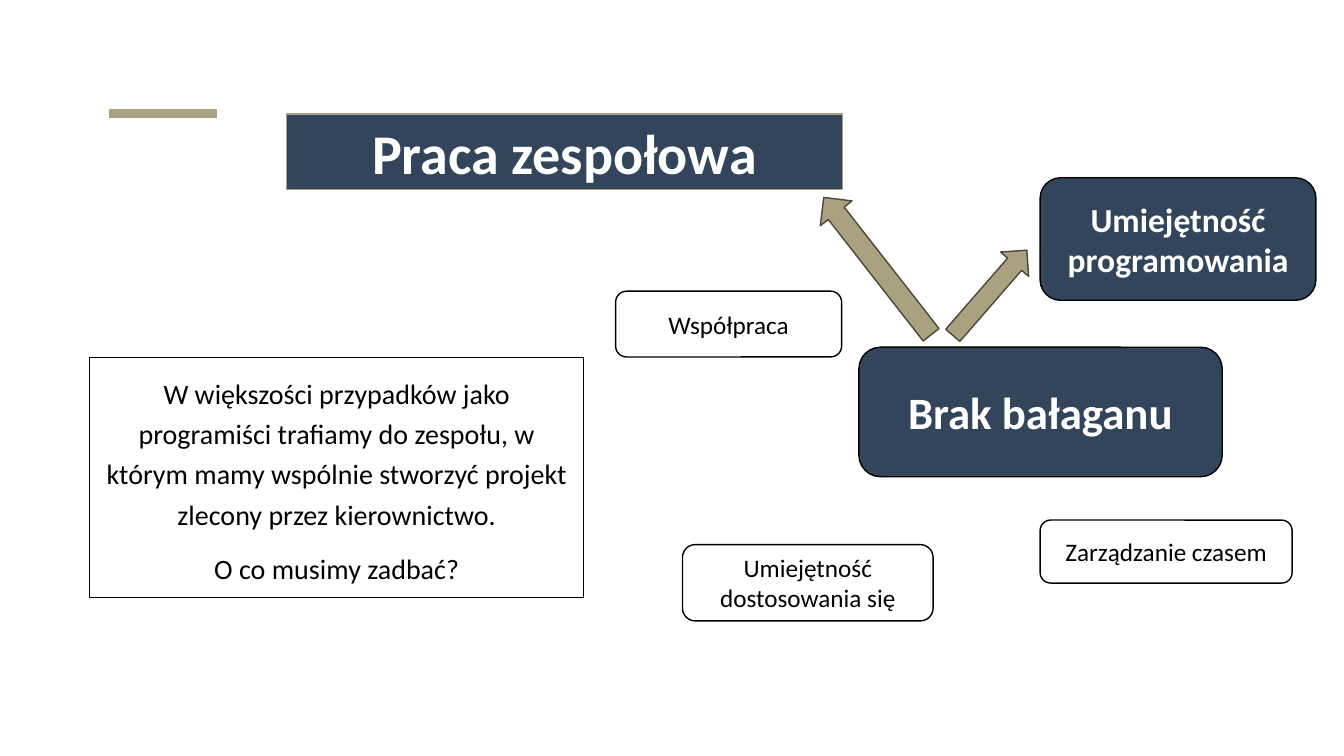
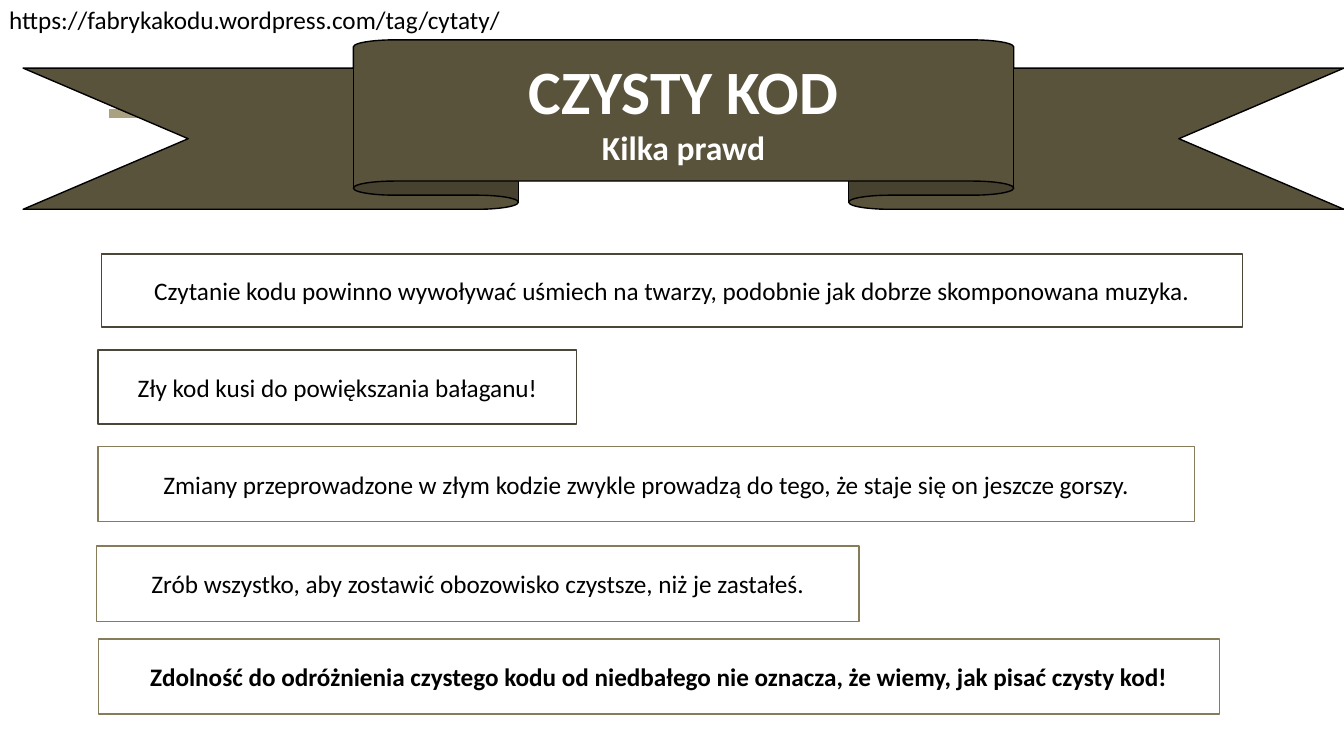
"""Build two slides on teamwork and clean code."""
from dataclasses import dataclass

from lxml import etree
from pptx import Presentation
from pptx.dml.color import RGBColor
from pptx.enum.shapes import MSO_CONNECTOR, MSO_SHAPE
from pptx.enum.text import MSO_ANCHOR, MSO_AUTO_SIZE, PP_ALIGN
from pptx.oxml.ns import qn
from pptx.shapes.autoshape import Shape
from pptx.slide import Slide
from pptx.text.text import TextFrame
from pptx.util import Pt

RECTANGLE = MSO_SHAPE.RECTANGLE
ROUNDED = MSO_SHAPE.ROUNDED_RECTANGLE
LEFT_ARROW = MSO_SHAPE.LEFT_ARROW
RIBBON = MSO_SHAPE.UP_RIBBON
STRAIGHT = MSO_CONNECTOR.STRAIGHT
MIDDLE = MSO_ANCHOR.MIDDLE
GROW = MSO_AUTO_SIZE.SHAPE_TO_FIT_TEXT
CENTER = PP_ALIGN.CENTER
LEFT = PP_ALIGN.LEFT

WHITE = RGBColor(0xFF, 0xFF, 0xFF)
BLACK = RGBColor(0x00, 0x00, 0x00)
NAVY = RGBColor(0x33, 0x45, 0x5B)
SAND = RGBColor(0xAA, 0xA1, 0x80)
OLIVE = RGBColor(0x59, 0x53, 0x3C)
DARK_OLIVE = RGBColor(0x4B, 0x47, 0x38)
LIGHT_OLIVE = RGBColor(0x86, 0x7C, 0x5A)

FONT = "Calibri"
BLANK_LAYOUT = 6


@dataclass(frozen=True)
class Box:
    """Position and size in points."""

    left: float
    top: float
    width: float
    height: float


@dataclass(frozen=True)
class Skill:
    """Rounded box naming a skill; a key skill is navy and bold."""

    text: str
    box: Box
    size: float = 18
    key: bool = False


@dataclass(frozen=True)
class Arrow:
    """Left arrow turned clockwise by an angle in degrees."""

    box: Box
    rotation: float


@dataclass(frozen=True)
class Quote:
    """Framed sentence about code."""

    text: str
    box: Box
    line: RGBColor
    bold: bool = False


SKILLS = (
    Skill("Brak bałaganu", Box(613.5, 248, 259.5, 92.5), 32, True),
    Skill("Współpraca", Box(439.7, 208, 161.5, 47)),
    Skill("Umiejętność dostosowania się", Box(487.5, 389, 179, 54.5)),
    Skill("Zarządzanie czasem", Box(743, 371.5, 180, 45)),
    Skill("Umiejętność programowania", Box(743, 127, 197, 87.5), 24, True),
)
ARROWS = (
    Arrow(Box(564.5, 175.7, 124.5, 28.8), 52),
    Arrow(Box(666.7, 195.8, 80.6, 26.6), 131),
)
QUOTES = (
    Quote("Czytanie kodu powinno wywoływać uśmiech na twarzy, podobnie jak dobrze "
          "skomponowana muzyka.", Box(72.5, 181.5, 815, 52), DARK_OLIVE),
    Quote("Zły kod kusi do powiększania bałaganu!",
          Box(70, 250, 342, 53), DARK_OLIVE),
    Quote("Zmiany przeprowadzone w złym kodzie zwykle prowadzą do tego, że staje się "
          "on jeszcze gorszy.", Box(70, 319, 783.5, 53.5), LIGHT_OLIVE),
    Quote("Zrób wszystko, aby zostawić obozowisko czystsze, niż je zastałeś.",
          Box(69, 390, 544.5, 54), LIGHT_OLIVE),
    Quote("Zdolność do odróżnienia czystego kodu od niedbałego nie oznacza, że wiemy, "
          "jak pisać czysty kod!", Box(70.5, 456.5, 800.5, 53.5), LIGHT_OLIVE, True),
)


def add_text(frame: TextFrame, text: str, *, size: float = 18, color: RGBColor = BLACK,
             bold: bool = False, align: PP_ALIGN = CENTER, line_spacing: float = 1.0,
             space_before: float = 0) -> None:
    """Write a formatted paragraph, reusing the empty first one."""
    first = frame.paragraphs[0]
    paragraph = frame.add_paragraph() if first.runs else first
    paragraph.alignment = align
    paragraph.line_spacing = line_spacing
    paragraph.space_before = Pt(space_before)
    run = paragraph.add_run()
    run.text = text
    run.font.name = FONT
    run.font.size = Pt(size)
    run.font.bold = bold
    run.font.color.rgb = color


def add_box(slide: Slide, kind: MSO_SHAPE, box: Box, fill: RGBColor,
            line: RGBColor = BLACK, line_width: float = 1) -> Shape:
    """Add a filled, outlined preset shape without shadow."""
    shape = slide.shapes.add_shape(
        kind, Pt(box.left), Pt(box.top), Pt(box.width), Pt(box.height))
    shape.shadow.inherit = False
    shape.fill.solid()
    shape.fill.fore_color.rgb = fill
    shape.line.color.rgb = line
    shape.line.width = Pt(line_width)
    shape.text_frame.word_wrap = True
    shape.text_frame.vertical_anchor = MIDDLE
    return shape


def add_slide(presentation: Presentation) -> Slide:
    """Add a blank slide with the shared accent bar."""
    slide = presentation.slides.add_slide(presentation.slide_layouts[BLANK_LAYOUT])
    bar = slide.shapes.add_connector(STRAIGHT, Pt(78), Pt(81), Pt(155), Pt(81))
    bar.line.color.rgb = SAND
    bar.line.width = Pt(6)
    etree.SubElement(bar.line._get_or_add_ln().getparent(), qn("a:effectLst"))
    return slide


def build_teamwork(presentation: Presentation) -> None:
    """Build the slide on teamwork skills."""
    slide = add_slide(presentation)
    title = add_box(slide, RECTANGLE, Box(204.5, 81.5, 397.5, 54), NAVY, SAND)
    add_text(title.text_frame, "Praca zespołowa", size=40, color=WHITE, bold=True)

    body = add_box(slide, RECTANGLE, Box(64, 255.5, 353, 171), WHITE, line_width=0.75)
    add_text(body.text_frame, "W większości przypadków jako programiści trafiamy do "
             "zespołu, w którym mamy wspólnie stworzyć projekt zlecony przez "
             "kierownictwo.", size=20, line_spacing=1.2)
    add_text(body.text_frame, "O co musimy zadbać?", size=20, line_spacing=1.2,
             space_before=10)

    for skill in SKILLS:
        shape = add_box(slide, ROUNDED, skill.box, NAVY if skill.key else WHITE)
        add_text(shape.text_frame, skill.text, size=skill.size,
                 color=WHITE if skill.key else BLACK, bold=skill.key)
    for arrow in ARROWS:
        shape = add_box(slide, LEFT_ARROW, arrow.box, SAND, DARK_OLIVE)
        shape.rotation = arrow.rotation


def build_clean_code(presentation: Presentation) -> None:
    """Build the slide of quotes on clean code."""
    slide = add_slide(presentation)
    banner = add_box(slide, RIBBON, Box(16.5, 28.5, 943.5, 121), OLIVE)
    add_text(banner.text_frame, "CZYSTY KOD", size=44, color=WHITE, bold=True)
    add_text(banner.text_frame, "Kilka prawd", size=24, color=WHITE, bold=True)

    for quote in QUOTES:
        shape = add_box(slide, RECTANGLE, quote.box, WHITE, quote.line)
        add_text(shape.text_frame, quote.text, bold=quote.bold)

    source = slide.shapes.add_textbox(Pt(-0.5), Pt(-0.5), Pt(390), Pt(29))
    source.text_frame.word_wrap = True
    source.text_frame.auto_size = GROW
    add_text(source.text_frame, "https://fabrykakodu.wordpress.com/tag/cytaty/",
             align=LEFT)


def main() -> None:
    """Build and save the presentation."""
    presentation = Presentation()
    presentation.slide_width = Pt(960)
    presentation.slide_height = Pt(540)
    build_teamwork(presentation)
    build_clean_code(presentation)
    presentation.save("out.pptx")


if __name__ == "__main__":
    main()
